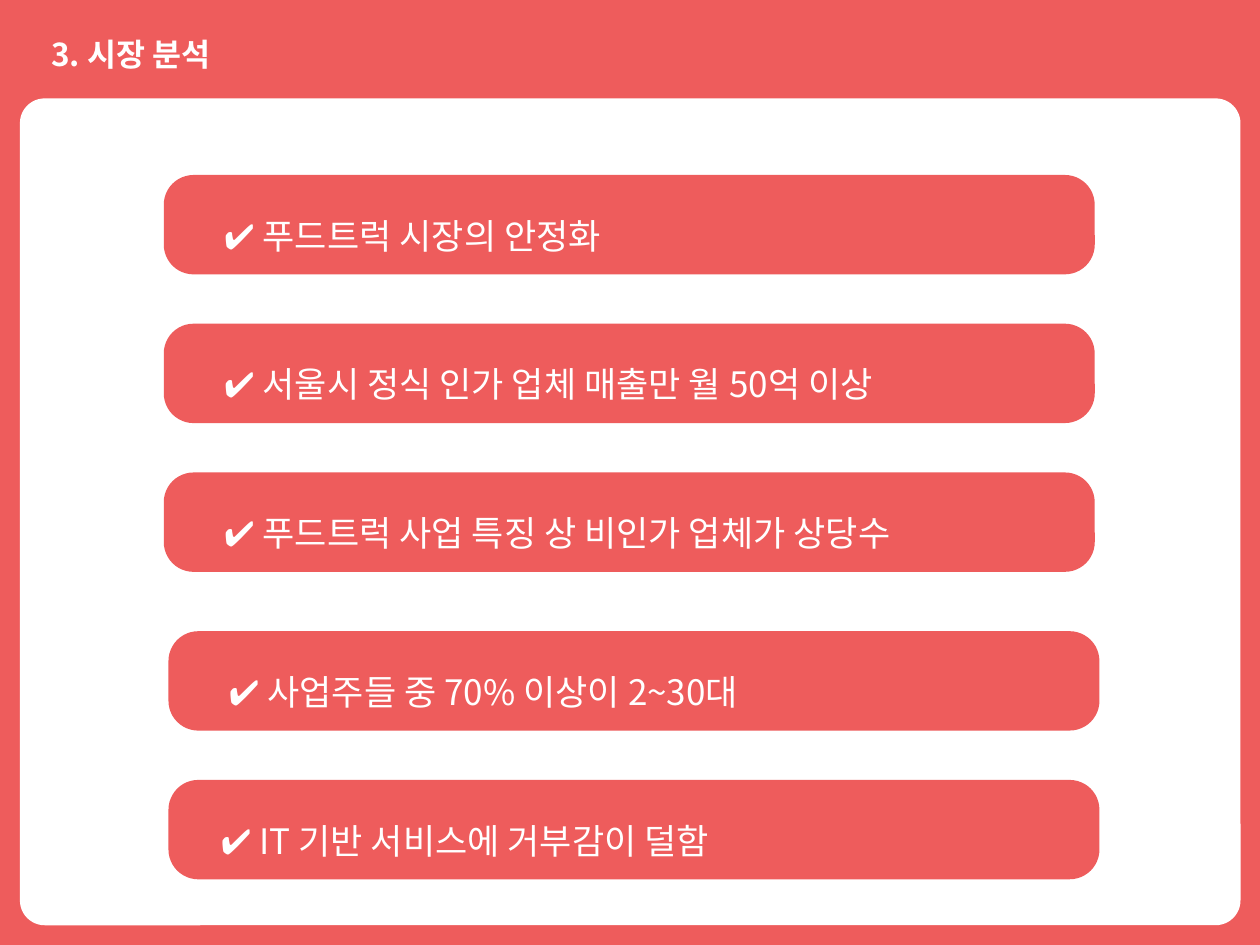
import pptx
import pptx.util
import pptx.dml.color
import pptx.enum.shapes
import pptx.enum.text

Pt = pptx.util.Pt
CORAL = pptx.dml.color.RGBColor(0xEE, 0x5C, 0x5C)
WHITE = pptx.dml.color.RGBColor(0xFF, 0xFF, 0xFF)
FONT = "Noto Sans CJK KR"
BAR_WIDTH, BAR_HEIGHT, BAR_PITCH = 532, 56.8, 85


def write_text(box, text, size, bold=False, spacing=None):
    """Write one left-aligned white paragraph in a box."""
    para = box.text_frame.paragraphs[0]
    para.alignment = pptx.enum.text.PP_ALIGN.LEFT
    if spacing:
        para.line_spacing = spacing
    span = para.add_run()
    span.text = text
    span.font.name = FONT
    span.font.size = Pt(size)
    span.font.bold = bold
    span.font.color.rgb = WHITE


def add_panel(page, left, top, width, height, color, rounding):
    """Add a plain rounded rectangle and return it."""
    panel = page.shapes.add_shape(
        pptx.enum.shapes.MSO_SHAPE.ROUNDED_RECTANGLE,
        Pt(left), Pt(top), Pt(width), Pt(height))
    panel.adjustments[0] = rounding
    panel.shadow.inherit = False
    panel.fill.solid()
    panel.fill.fore_color.rgb = color
    panel.line.fill.background()
    return panel


def add_title(page, left, top, width, height, text):
    """Add the section title."""
    title = page.shapes.add_textbox(Pt(left), Pt(top), Pt(width), Pt(height))
    title.text_frame.auto_size = pptx.enum.text.MSO_AUTO_SIZE.SHAPE_TO_FIT_TEXT
    write_text(title, text, size=18, bold=True)


def add_bars(page, left, top, points):
    """Stack one bar for each pair of text and left inset."""
    for row, (text, inset) in enumerate(points):
        bar = add_panel(page, left, top + row * BAR_PITCH,
                        BAR_WIDTH, BAR_HEIGHT, CORAL, 0.3)
        bar.text_frame.margin_left = Pt(inset)
        bar.text_frame.vertical_anchor = pptx.enum.text.MSO_ANCHOR.MIDDLE
        write_text(bar, text, size=20, spacing=1.5)


def main():
    """Build the market analysis slide."""
    deck = pptx.Presentation()
    deck.slide_width, deck.slide_height = Pt(720), Pt(540)
    page = deck.slides.add_slide(deck.slide_layouts[6])
    page.background.fill.solid()
    page.background.fill.fore_color.rgb = CORAL
    add_panel(page, 11.4, 56.2, 697.5, 472.5, WHITE, 0.03)
    add_title(page, 22.3, 16.5, 124, 29, "3. 시장 분석")
    add_bars(page, 93.6, 100, [
        ("✔ 푸드트럭 시장의 안정화", 29.5),
        ("✔ 서울시 정식 인가 업체 매출만 월 50억 이상", 29.5),
        ("✔ 푸드트럭 사업 특징 상 비인가 업체가 상당수", 29.5),
    ])
    add_bars(page, 96.3, 360.7, [
        ("✔ 사업주들 중 70% 이상이 2~30대", 29.5),
        ("✔ IT 기반 서비스에 거부감이 덜함", 25),
    ])
    deck.save("out.pptx")


if __name__ == "__main__":
    main()
